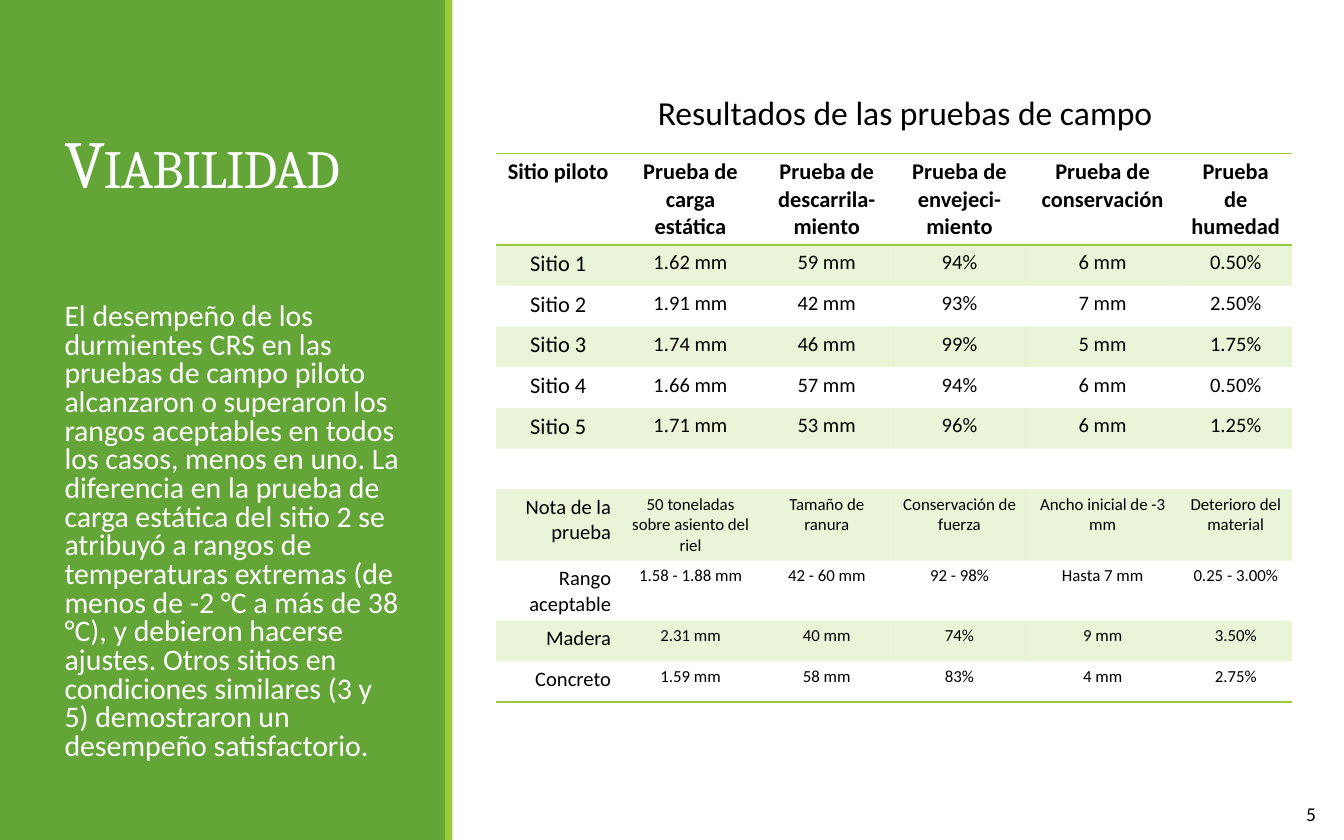
from lxml import etree
from pptx import Presentation
from pptx.dml.color import RGBColor
from pptx.enum import shapes, text
from pptx.oxml.ns import qn
from pptx.util import Cm, Pt

COLORS = {"green": "63A537", "lime": "99CB38", "white": "FFFFFF", "black": "000000"}

TITLE = "Viabilidad"
SUMMARY = (
    "El desempeño de los durmientes CRS en las pruebas de campo piloto alcanzaron o "
    "superaron los rangos aceptables en todos los casos, menos en uno. La diferencia en "
    "la prueba de carga estática del sitio 2 se atribuyó a rangos de temperaturas "
    "extremas (de menos de -2 °C a más de 38 °C), y debieron hacerse ajustes. Otros "
    "sitios en condiciones similares (3 y 5) demostraron un desempeño satisfactorio."
)
CAPTION = "Resultados de las pruebas de campo"
PAGE_NUMBER = "5"

HEADER = ["Sitio piloto", "Prueba de carga estática", "Prueba de descarrila-miento",
          "Prueba de envejeci-miento", "Prueba de conservación", "Prueba de humedad"]
SITES = [
    ["Sitio 1", "1.62 mm", "59 mm", "94%", "6 mm", "0.50%"],
    ["Sitio 2", "1.91 mm", "42 mm", "93%", "7 mm", "2.50%"],
    ["Sitio 3", "1.74 mm", "46 mm", "99%", "5 mm", "1.75%"],
    ["Sitio 4", "1.66 mm", "57 mm", "94%", "6 mm", "0.50%"],
    ["Sitio 5", "1.71 mm", "53 mm", "96%", "6 mm", "1.25%"],
]
REFERENCES = [
    ["Nota de la prueba", "50 toneladas sobre asiento del riel", "Tamaño de ranura",
     "Conservación de fuerza", "Ancho inicial de -3 mm", "Deterioro del material"],
    ["Rango aceptable", "1.58 - 1.88 mm", "42 - 60 mm", "92 - 98%", "Hasta 7 mm",
     "0.25 - 3.00%"],
    ["Madera", "2.31 mm", "40 mm", "74%", "9 mm", "3.50%"],
    ["Concreto", "1.59 mm", "58 mm", "83%", "4 mm", "2.75%"],
]
ROWS = [HEADER, *SITES, [""] * len(HEADER), *REFERENCES]
FIRST_REFERENCE = len(ROWS) - len(REFERENCES)
COLUMN_WIDTHS = [2.36, 2.64, 2.51, 2.51, 2.9, 2.13]
ROW_HEIGHT = 0.77
TALL_ROWS = {0: 1.73, FIRST_REFERENCE: 1.35, FIRST_REFERENCE + 1: 1.07}
NO_STYLE = "{2D5ABB26-0587-4C30-8999-92F81FD0307C}"

LEFT, CENTER, RIGHT = text.PP_ALIGN.LEFT, text.PP_ALIGN.CENTER, text.PP_ALIGN.RIGHT
TOP, MIDDLE = text.MSO_ANCHOR.TOP, text.MSO_ANCHOR.MIDDLE


def rgb(name):
    return RGBColor.from_string(COLORS[name])


def write(para, words, size, color="black", font="Calibri", align=LEFT, bold=False):
    para.alignment = align
    span = para.add_run()
    span.text = words
    span.font.name, span.font.size, span.font.bold = font, Pt(size), bold
    span.font.color.rgb = rgb(color)
    return span


def add_band(page, left, width, color):
    band = page.shapes.add_shape(shapes.MSO_SHAPE.RECTANGLE, Cm(left), 0,
                                 Cm(width), deck.slide_height)
    band.shadow.inherit = False
    band.fill.solid()
    band.fill.fore_color.rgb = rgb(color)
    band.line.fill.background()


def add_text(page, area, margins=(0.25, 0.13, 0.25, 0.13), anchor=TOP, wrap=True):
    frame = page.shapes.add_textbox(*map(Cm, area)).text_frame
    frame.word_wrap, frame.vertical_anchor = wrap, anchor
    (frame.margin_left, frame.margin_top,
     frame.margin_right, frame.margin_bottom) = map(Cm, margins)
    return frame


def add_border(cell, side):
    line = etree.SubElement(cell._tc.get_or_add_tcPr(), qn(f"a:ln{side}"), w=str(Pt(1)))
    fill = etree.SubElement(line, qn("a:solidFill"))
    etree.SubElement(fill, qn("a:srgbClr"), val=COLORS["lime"])


def tint(cell):
    cell.fill.solid()
    cell.fill.fore_color.rgb = rgb("lime")
    color = cell._tc.tcPr.find(f".//{qn('a:solidFill')}[last()]/{qn('a:srgbClr')}")
    etree.SubElement(color, qn("a:alpha"), val="20000")


def cell_style(row, column):
    """Return the text size and alignment of a table cell."""
    if row == 0:
        return 12, CENTER
    if row < FIRST_REFERENCE:
        return (12 if column == 0 else 11), CENTER
    return (11, RIGHT) if column == 0 else (9, CENTER)


def fill_cell(cell, words, row, column):
    cell.margin_left = cell.margin_right = Cm(0.18)
    cell.margin_top = cell.margin_bottom = Cm(0.1)
    size, align = cell_style(row, column)
    para = cell.text_frame.paragraphs[0]
    if words:
        write(para, words, size, align=align, bold=row == 0)
    else:
        etree.SubElement(para._p, qn("a:endParaRPr"), sz=str(size * 100))
    if row == 0:
        add_border(cell, "T")
    if row in (0, len(ROWS) - 1):
        add_border(cell, "B")
    if row % 2 and words:
        tint(cell)
    else:
        cell.fill.background()


deck = Presentation()
deck.slide_width, deck.slide_height = Cm(25.4), Cm(15.88)
page = deck.slides.add_slide(deck.slide_layouts[6])

# Side panel
add_band(page, 0, 8.43, "green")
add_band(page, 8.41, 0.14, "lime")

# Title
frame = add_text(page, (0.97, 0.74, 6.65, 4.75), (0.25, 0.25, 0, 0.13), MIDDLE)
para = frame.paragraphs[0]
para.line_spacing = 0.85
title = write(para, TITLE, 36, "white", "Cambria")
title.font._element.set("cap", "small")
title.font._element.set("spc", "-50")

# Results table
table = page.shapes.add_table(len(ROWS), len(HEADER), Cm(9.37), Cm(2.9),
                              Cm(sum(COLUMN_WIDTHS)), Cm(10.36)).table
table.first_row = table.horz_banding = False
table._tbl.tblPr.find(qn("a:tableStyleId")).text = NO_STYLE
for column, width in zip(table.columns, COLUMN_WIDTHS):
    column.width = Cm(width)
for row, values in enumerate(ROWS):
    table.rows[row].height = Cm(TALL_ROWS.get(row, ROW_HEIGHT))
    for column, words in enumerate(values):
        fill_cell(table.cell(row, column), words, row, column)

# Summary
frame = add_text(page, (0.97, 5.49, 6.65, 9.09), (0.25, 0.25, 0, 0))
para = frame.paragraphs[0]
para.line_spacing, para.space_before, para.space_after = 0.8, Pt(12), Pt(2)
write(para, SUMMARY, 16, "white")

# Table caption and page number
frame = add_text(page, (12.12, 1.6, 9.98, 1.02), wrap=False)
write(frame.paragraphs[0], CAPTION, 18, align=CENTER)
frame = add_text(page, (22.58, 14.96, 2.54, 0.84), anchor=MIDDLE)
write(frame.paragraphs[0], PAGE_NUMBER, 10.5, align=RIGHT)

deck.save("out.pptx")
